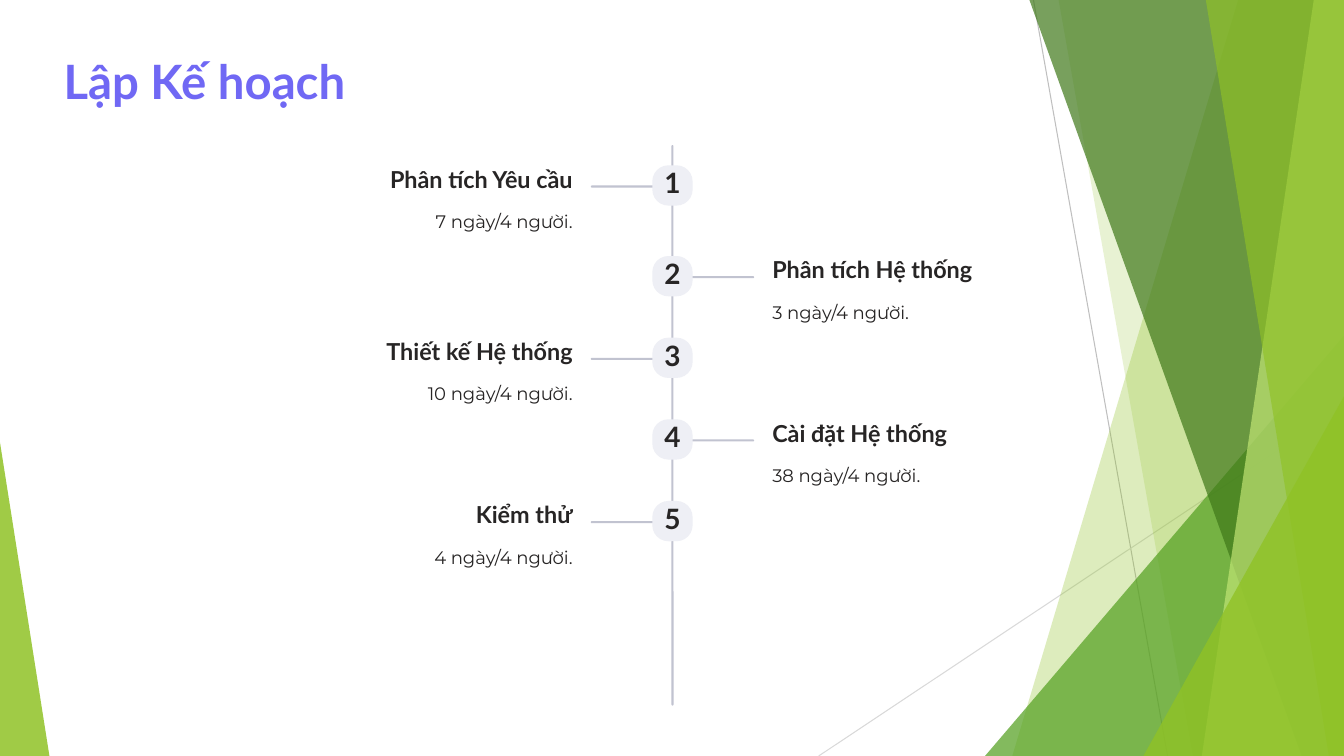
from dataclasses import dataclass

from lxml import etree
from pptx import Presentation
from pptx.dml.color import RGBColor
from pptx.enum.shapes import MSO_CONNECTOR, MSO_SHAPE
from pptx.enum.text import MSO_ANCHOR, PP_ALIGN
from pptx.oxml.ns import qn
from pptx.util import Inches, Pt

STRAIGHT = MSO_CONNECTOR.STRAIGHT
ROUNDED = MSO_SHAPE.ROUNDED_RECTANGLE
TRIANGLE = MSO_SHAPE.ISOSCELES_TRIANGLE
TOP = MSO_ANCHOR.TOP
LEFT, CENTER, RIGHT = PP_ALIGN.LEFT, PP_ALIGN.CENTER, PP_ALIGN.RIGHT


@dataclass(frozen=True)
class TextStyle:
    """Font, size, line spacing, colour and weight of one text level."""
    font: str
    size: float
    leading: float
    color: str
    bold: bool


@dataclass(frozen=True)
class Theme:
    """Colours and text levels of the slide."""
    lime: str = "90C226"
    green: str = "54A021"
    forest: str = "3F7819"
    pale: str = "C0E474"
    gray: str = "BFBFBF"
    light_gray: str = "D9D9D9"
    rail: str = "C1C3D0"
    badge: str = "EEEFF5"
    title: TextStyle = TextStyle("Lato", 33.8, 42.5, "7068F4", True)
    number: TextStyle = TextStyle("Lato", 20, 20, "272525", True)
    heading: TextStyle = TextStyle("Lato", 16.7, 21.2, "272525", True)
    detail: TextStyle = TextStyle("Montserrat", 12.9, 20.4, "272525", False)


THEME = Theme()
SLIDE_W, SLIDE_H = 13.33, 7.5
STEPS = [
    (0.2, "Phân tích Yêu cầu", "7 ngày/4 người."),
    (1.1, "Phân tích Hệ thống", "3 ngày/4 người."),
    (1.91, "Thiết kế Hệ thống", "10 ngày/4 người."),
    (2.72, "Cài đặt Hệ thống", "38 ngày/4 người."),
    (3.53, "Kiểm thử", "4 ngày/4 người."),
]


def paint(sp, color, opacity=100):
    """Give a shape a flat fill, no outline and no shadow."""
    sp.shadow.inherit = False
    sp.line.fill.background()
    sp.fill.solid()
    sp.fill.fore_color.rgb = RGBColor.from_string(color)
    if opacity < 100:
        clr = sp.fill._xPr.find(qn("a:solidFill"))[0]
        etree.SubElement(clr, qn("a:alpha")).set("val", str(opacity * 1000))


def add_preset(slide, kind, x, y, w, h, adjustment, color, opacity=100):
    """Add a painted preset shape with one adjustment."""
    sp = slide.shapes.add_shape(kind, Inches(x), Inches(y), Inches(w), Inches(h))
    sp.adjustments[0] = adjustment
    paint(sp, color, opacity)


def add_band(slide, x, y, w, h, top_x, bottom_x, color, opacity):
    """Add a band from a slanted left edge to the right side of the box."""
    builder = slide.shapes.build_freeform(Inches(x + top_x), Inches(y))
    corners = [(x + w, y), (x + w, y + h), (x + bottom_x, y + h)]
    builder.add_line_segments([(Inches(cx), Inches(cy)) for cx, cy in corners])
    paint(builder.convert_to_shape(), color, opacity)


def add_corner(slide, x, y, w, h, width, height, color, opacity):
    """Add a right triangle in the lower right corner of the box."""
    add_preset(slide, TRIANGLE, x + w - width, y + h - height, width, height,
               1, color, opacity)


def add_hairline(slide, x1, y1, x2, y2, color):
    """Add a thin straight line."""
    line = slide.shapes.add_connector(
        STRAIGHT, Inches(x1), Inches(y1), Inches(x2), Inches(y2))
    line.line.color.rgb = RGBColor.from_string(color)
    line.line.width = Pt(0.75)
    etree.SubElement(line._element.spPr, qn("a:effectLst"))


def add_text(slide, x, y, w, h, text, style, align=LEFT):
    """Add one line of text without margins."""
    tf = slide.shapes.add_textbox(
        Inches(x), Inches(y), Inches(w), Inches(h)).text_frame
    tf.margin_left = tf.margin_right = tf.margin_top = tf.margin_bottom = 0
    tf.word_wrap = False
    tf.vertical_anchor = TOP
    p = tf.paragraphs[0]
    p.text = text
    p.alignment = align
    p.line_spacing = Pt(style.leading)
    font = p.runs[0].font
    font.name = style.font
    font.size = Pt(style.size)
    font.bold = style.bold
    font.color.rgb = RGBColor.from_string(style.color)


def add_backdrop(slide, x, y, w, h):
    """Draw the green facets along the right and left edges of the box."""
    box = (x, y, w, h)
    add_hairline(slide, x + 10.25, y, x + 11.58, y + h, THEME.gray)
    add_hairline(slide, x + w, y + 4.03, x + 8.12, y + h, THEME.light_gray)
    add_band(slide, *box, 12.28, 10.04, THEME.lime, 30)
    add_band(slide, *box, 10.5, 11.83, THEME.lime, 20)
    add_corner(slide, *box, 3.56, 4.17, THEME.green, 72)
    add_band(slide, *box, 10.21, 12.91, THEME.forest, 70)
    add_band(slide, *box, 13.03, 11.92, THEME.pale, 70)
    add_band(slide, *box, 11.96, 13.18, THEME.lime, 65)
    add_corner(slide, *box, 1.99, 3.57, THEME.lime, 80)
    add_preset(slide, TRIANGLE, x, y + h - 3.11, 0.49, 3.11, 0, THEME.lime, 85)


def add_step(slide, x, y, w, number, heading, detail):
    """Draw a step with its badge centred in the box and its text on one side."""
    badge, stem, gap, heading_w, detail_w = 0.4, 0.63, 0.99, 2.36, 5.05
    middle = x + w / 2
    on_left = number % 2 == 1
    stem_x = middle - 0.18 - stem if on_left else middle + 0.18
    heading_x = middle - gap - heading_w if on_left else middle + gap
    detail_x = middle - gap - detail_w if on_left else middle + gap
    align = RIGHT if on_left else LEFT
    add_preset(slide, ROUNDED, stem_x, y + 0.2, stem, 0.02, 0.5, THEME.rail)
    add_preset(slide, ROUNDED, middle - badge / 2, y, badge, badge, 0.4, THEME.badge)
    add_text(slide, middle - 0.08, y + 0.06, 0.16, 0.28, str(number),
             THEME.number, CENTER)
    add_text(slide, heading_x, y - 0.02, heading_w, 0.3, heading,
             THEME.heading, align)
    add_text(slide, detail_x, y + 0.38, detail_w, 0.29, detail,
             THEME.detail, align)


def add_timeline(slide, x, y, w, h):
    """Draw the vertical rail and its steps on alternating sides."""
    add_preset(slide, ROUNDED, x + w / 2 - 0.01, y, 0.02, h, 0.5, THEME.rail)
    for number, (offset, heading, detail) in enumerate(STEPS, 1):
        add_step(slide, x, y + offset, w, number, heading, detail)


def main():
    """Build and save the planning slide."""
    prs = Presentation()
    prs.slide_width, prs.slide_height = Inches(SLIDE_W), Inches(SLIDE_H)
    slide = prs.slides.add_slide(prs.slide_layouts[6])
    add_backdrop(slide, 0, 0, SLIDE_W, SLIDE_H)
    add_text(slide, 0.63, 0.49, 4.72, 0.59, "Lập Kế hoạch", THEME.title)
    add_timeline(slide, 0.63, 1.44, 12.08, 5.56)
    prs.save("out.pptx")


if __name__ == "__main__":
    main()
